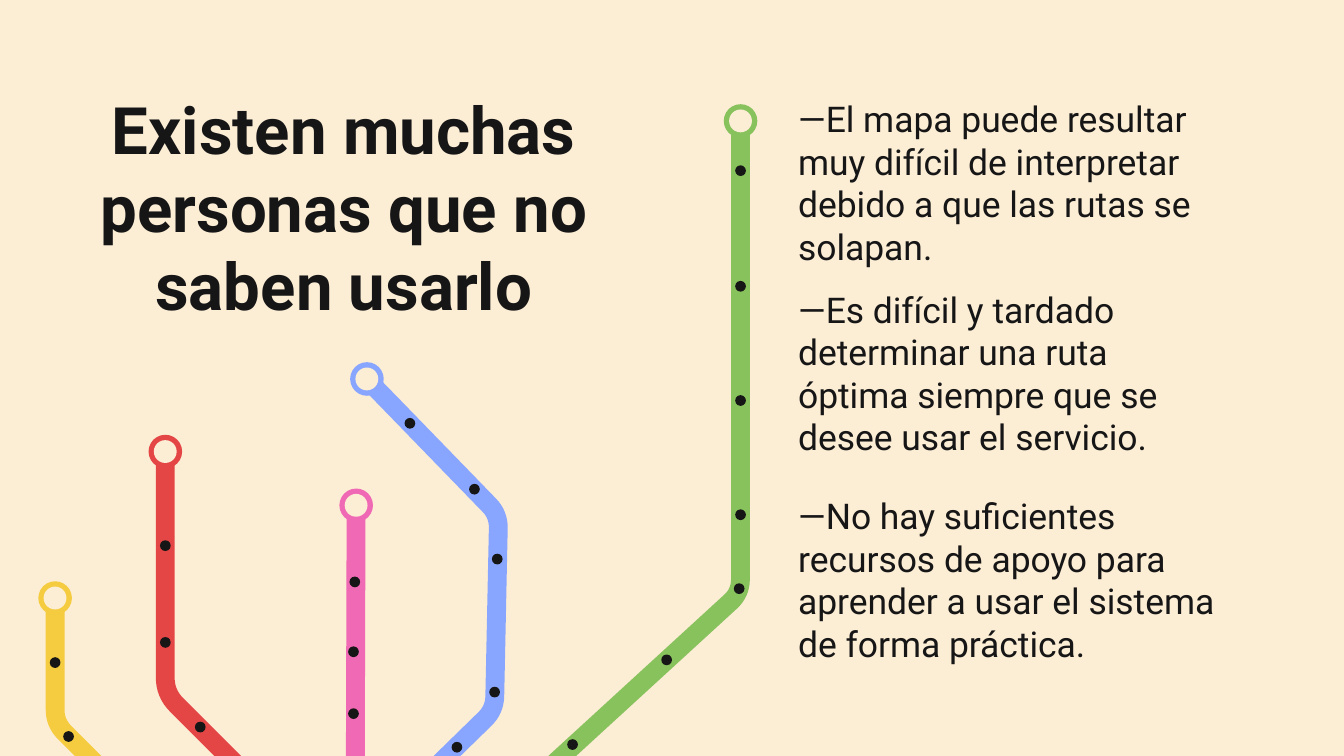
from math import hypot

from lxml.etree import SubElement
from pptx import Presentation
from pptx.dml.color import RGBColor
from pptx.enum.shapes import MSO_SHAPE
from pptx.enum.text import MSO_ANCHOR, MSO_AUTO_SIZE, PP_ALIGN
from pptx.oxml.ns import qn
from pptx.util import Inches, Pt

COLORS = {
    "background": "FCEDD5", "ink": "161616", "yellow": "F5CC3F", "green": "88C25D",
    "blue": "88A6FF", "red": "E44646", "pink": "F069B4",
}
FONT = "Roboto"
TRACK, TERMINAL, HOLE, STOP = 0.14, 0.25, 0.17, 0.08

# colour, terminal centre, route as (x, y, corner cut), stop centres
LINES = [
    ("yellow", (0.41, 4.45),
     [(0.41, 4.39, 0), (0.41, 5.38, 0.1), (1.52, 6.49, 0.5), (2.9, 6.49, 0.5),
      (3.68, 5.7, 0.05), (4.67, 5.7, 0.05), (5.28, 6.31, 0)],
     [(0.41, 4.93), (0.51, 5.48)]),
    ("green", (5.51, 0.9),
     [(5.51, 0.92, 0), (5.51, 4.41, 0.1), (2.88, 6.82, 0.1), (1.75, 6.82, 0)],
     [(5.51, 1.27), (5.51, 2.13), (5.51, 2.98), (5.51, 3.83), (5.5, 4.38),
      (4.96, 4.91), (4.26, 5.54)]),
    ("blue", (2.73, 2.82),
     [(2.7, 2.79, 0), (3.71, 3.83, 0.1), (3.68, 5.28, 0.1), (2.81, 6.13, 0.1),
      (2.75, 9.62, 0)],
     [(3.05, 3.15), (3.53, 3.64), (3.7, 4.16), (3.68, 5.15), (3.4, 5.56)]),
    ("red", (1.23, 3.36),
     [(1.23, 3.29, 0), (1.23, 5.16, 0.12), (2.46, 6.39, 0.1), (2.46, 7.25, 0.1),
      (3.55, 8.34, 0)],
     [(1.23, 4.06), (1.23, 4.78), (1.49, 5.41)]),
    ("pink", (2.65, 3.76),
     [(2.65, 3.69, 0), (2.64, 7.17, 0.1), (1.84, 7.98, 0)],
     [(2.64, 4.33), (2.63, 4.85), (2.63, 5.31)]),
]

NOTES = [
    ("—El mapa puede resultar muy difícil de interpretar debido a que las rutas se solapan.",
     (5.84, 0.78, 3.65, 1.15)),
    ("—Es difícil y tardado determinar una ruta óptima siempre que se desee usar el servicio.",
     (5.84, 2.12, 3.38, 1.31)),
    ("—No hay suficientes recursos de apoyo para aprender a usar el sistema de forma práctica.",
     (5.84, 3.5, 3.38, 1.62)),
]


def color(name):
    return RGBColor.from_string(COLORS[name])


def paint(sp, name):
    sp.shadow.inherit = False
    sp.fill.solid()
    sp.fill.fore_color.rgb = color(name)
    sp.line.fill.background()


def toward(a, b, distance):
    """Return the point at a distance from a on the way to b."""
    t = distance / hypot(b[0] - a[0], b[1] - a[1])
    return a[0] + t * (b[0] - a[0]), a[1] + t * (b[1] - a[1])


def rounded(route, steps=8):
    """Replace each inner corner of a route by a quadratic curve."""
    points = [route[0][:2]]
    for before, corner, after in zip(route, route[1:], route[2:]):
        start, end = toward(corner, before, corner[2]), toward(corner, after, corner[2])
        for i in range(steps + 1):
            t = i / steps
            points.append(tuple((1 - t) ** 2 * a + 2 * t * (1 - t) * c + t ** 2 * b
                                for a, c, b in zip(start, corner, end)))
    return points + [route[-1][:2]]


def ribbon(points, width):
    """Return the outline of a band of the given width along the points."""
    left, right = [], []
    last = len(points) - 1
    for i, (x, y) in enumerate(points):
        (x0, y0), (x1, y1) = points[max(i - 1, 0)], points[min(i + 1, last)]
        k = width / 2 / hypot(x1 - x0, y1 - y0)
        dx, dy = k * (y1 - y0), k * (x0 - x1)
        left.append((x + dx, y + dy))
        right.append((x - dx, y - dy))
    return left + right[::-1]


def add_track(shapes, route, name):
    outline = [(Inches(x), Inches(y)) for x, y in ribbon(rounded(route), TRACK)]
    builder = shapes.build_freeform(*outline[0])
    builder.add_line_segments(outline[1:], close=True)
    paint(builder.convert_to_shape(), name)


def add_disc(shapes, center, size, name):
    x, y = (Inches(v - size / 2) for v in center)
    paint(shapes.add_shape(MSO_SHAPE.OVAL, x, y, Inches(size), Inches(size)), name)


def add_metro_line(s, name, terminal, route, stops):
    shapes = s.shapes.add_group_shape().shapes
    add_track(shapes, route, name)
    for stop in stops:
        add_disc(shapes, stop, STOP, "ink")
    add_disc(shapes, terminal, TERMINAL, name)
    add_disc(shapes, terminal, HOLE, "background")


def write(sp, text, size, anchor, align, bold=False):
    tf = sp.text_frame
    tf.text = text
    tf.word_wrap = True
    tf.auto_size = MSO_AUTO_SIZE.NONE
    tf.vertical_anchor = anchor
    tf.margin_left = tf.margin_right = tf.margin_top = tf.margin_bottom = Inches(0.1)
    p = tf.paragraphs[0]
    p.alignment = align
    p.font.name, p.font.size, p.font.bold = FONT, Pt(size), bold
    p.font.color.rgb = color("ink")


def add_title(s, text, box):
    sp = s.shapes.title
    sp.left, sp.top, sp.width, sp.height = map(Inches, box)
    write(sp, text, 35, MSO_ANCHOR.TOP, PP_ALIGN.CENTER, bold=True)


def add_note(s, text, box):
    sp = s.shapes.add_textbox(*map(Inches, box))
    write(sp, text, 19, MSO_ANCHOR.MIDDLE, PP_ALIGN.LEFT)


def main():
    prs = Presentation()
    prs.slide_width, prs.slide_height = Inches(10), Inches(5.625)
    s = prs.slides.add_slide(prs.slide_layouts[5])
    s.background.fill.solid()
    s.background.fill.fore_color.rgb = color("background")
    add_title(s, "Existen muchas personas que no saben usarlo", (0.3, 0.56, 4.52, 1.37))
    for text, box in NOTES:
        add_note(s, text, box)
    for line in LINES:
        add_metro_line(s, *line)
    prs.save("out.pptx")


if __name__ == "__main__":
    main()
